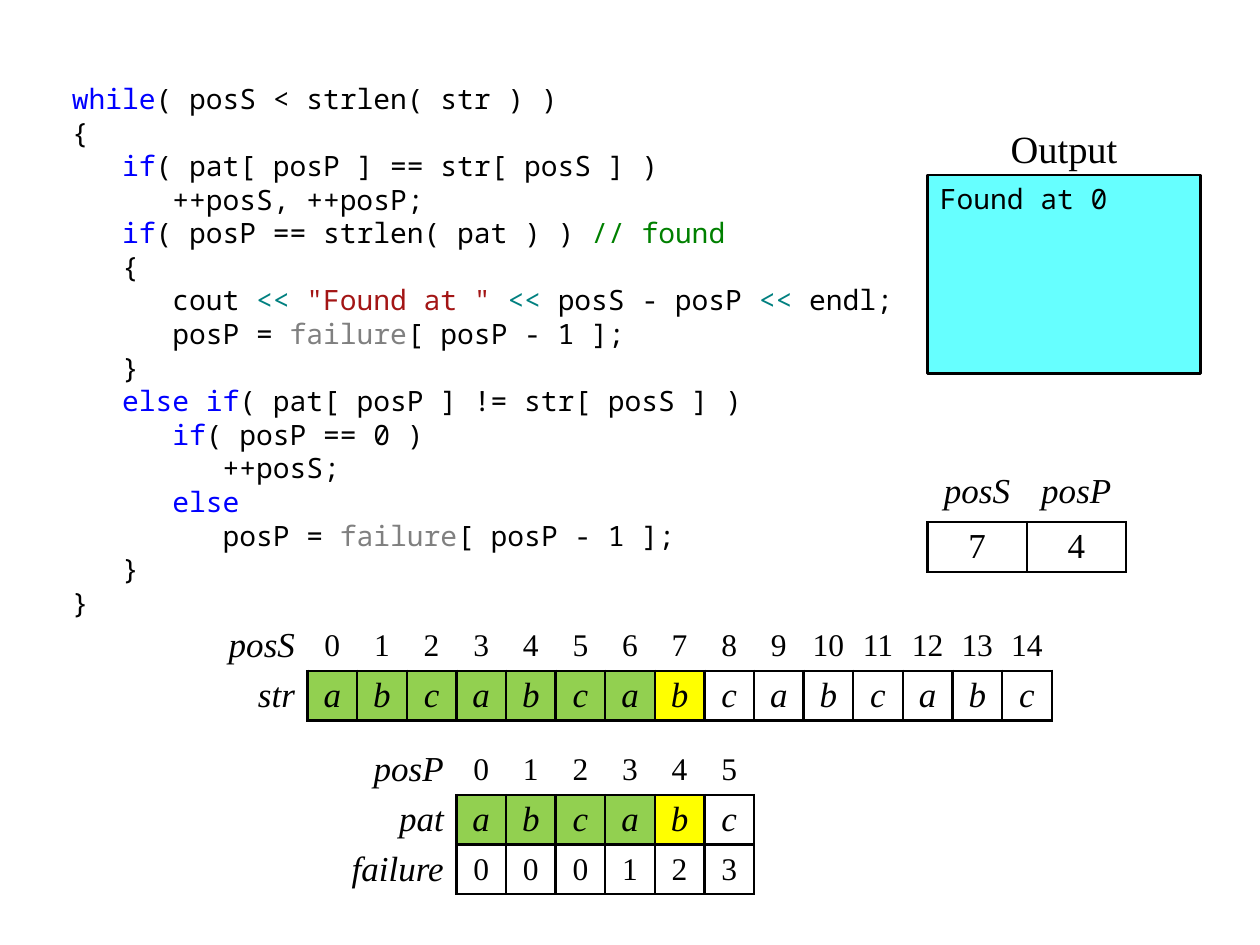
from lxml.etree import SubElement
from pptx import Presentation
from pptx.dml.color import RGBColor
from pptx.enum.shapes import MSO_SHAPE
from pptx.enum.text import MSO_ANCHOR, PP_ALIGN
from pptx.oxml.ns import qn
from pptx.util import Pt

BLACK = RGBColor(0x00, 0x00, 0x00)
WHITE = RGBColor(0xFF, 0xFF, 0xFF)
KEYWORD = RGBColor(0x00, 0x00, 0xFF)
COMMENT = RGBColor(0x00, 0x80, 0x00)
OPERATOR = RGBColor(0x00, 0x80, 0x80)
STRING = RGBColor(0xA3, 0x15, 0x15)
ARRAY = RGBColor(0x80, 0x80, 0x80)
MATCHED = RGBColor(0x92, 0xD0, 0x50)
CURRENT = RGBColor(0xFF, 0xFF, 0x00)
SCREEN = RGBColor(0x66, 0xFF, 0xFF)

MONO, SERIF = "Noto Sans Mono", "Times New Roman"
NO_STYLE = "{2D5ABB26-0587-4C30-8999-92F81FD0307C}"
CELL = 28.35
LINE = 1.5

# Plain strings are black; pairs carry their own colour.
FAILURE_STEP = [("failure", ARRAY), "[ posP - 1 ];"]
CODE = [
    [("while", KEYWORD), "( posS < strlen( str ) )"],
    ["{"],
    ["   ", ("if", KEYWORD), "( pat[ posP ] == str[ posS ] )"],
    ["      ++posS, ++posP;"],
    ["   ", ("if", KEYWORD), "( posP == strlen( pat ) ) ", ("// found", COMMENT)],
    ["   {"],
    ["      cout ", ("<< ", OPERATOR), ('"Found at " ', STRING), ("<< ", OPERATOR),
     "posS - posP ", ("<< ", OPERATOR), "endl;"],
    ["      posP = "] + FAILURE_STEP,
    ["   }"],
    ["   ", ("else if", KEYWORD), "( pat[ posP ] != str[ posS ] )"],
    ["      ", ("if", KEYWORD), "( posP == 0 )"],
    ["         ++posS;"],
    ["      ", ("else", KEYWORD)],
    ["         posP = "] + FAILURE_STEP,
    ["   }"],
    ["}"],
]

TEXT, PATTERN = "abcabcabcabcabc", "abcabc"
FAILURE = [0, 0, 0, 1, 2, 3]
POS_S, POS_P = 7, 4

STR_LEFT, STR_TOP, STR_LABEL = 119.05, 355, 2 * CELL
PAT_LABEL = 2.5 * CELL
# The pattern sits under the part of the text it is matched against.
PAT_LEFT = STR_LEFT + STR_LABEL + (POS_S - POS_P) * CELL - PAT_LABEL
PAT_TOP = STR_TOP + 2.5 * CELL


def add_text(tf, lines, font, size, spacing=None, align=PP_ALIGN.LEFT):
    tf.word_wrap = True
    tf.vertical_anchor = MSO_ANCHOR.TOP
    for i, line in enumerate(lines):
        p = tf.add_paragraph() if i else tf.paragraphs[0]
        p.alignment = align
        if spacing:
            p.line_spacing = Pt(spacing)
        for part in line:
            text, color = (part, BLACK) if isinstance(part, str) else part
            r = p.add_run()
            r.text = text
            r.font.name, r.font.size = font, Pt(size)
            r.font.color.rgb = color


def set_margins(target, left, top, right, bottom):
    target.margin_left, target.margin_top = Pt(left), Pt(top)
    target.margin_right, target.margin_bottom = Pt(right), Pt(bottom)


def add_borders(cell):
    tcPr = cell._tc.get_or_add_tcPr()
    for side in ("a:lnL", "a:lnR", "a:lnT", "a:lnB"):
        ln = SubElement(tcPr, qn(side), w=str(Pt(LINE)))
        fill = SubElement(ln, qn("a:solidFill"))
        SubElement(fill, qn("a:srgbClr"), val=str(BLACK))


def add_grid(left, top, widths, rows, labelled, digit_size, position=None):
    """Add a table whose first row is a header and whose other rows are boxed."""
    frame = s.shapes.add_table(len(rows), len(widths), Pt(left), Pt(top),
                               Pt(sum(widths)), Pt(CELL * len(rows)))
    table = frame.table
    table.first_row = table.horz_banding = False
    table._tbl.tblPr.find(qn("a:tableStyleId")).text = NO_STYLE
    for column, width in zip(table.columns, widths):
        column.width = Pt(width)
    for i, row in enumerate(rows):
        table.rows[i].height = Pt(CELL)
        for j, value in enumerate(row):
            text, cell = str(value), table.cell(i, j)
            is_label = labelled and j == 0
            boxed = i > 0 and not is_label
            pad = 7.2 if is_label else 3
            set_margins(cell, pad, 0, pad, 0)
            cell.vertical_anchor = MSO_ANCHOR.MIDDLE if labelled or i else MSO_ANCHOR.TOP
            if boxed:
                add_borders(cell)
            if boxed and position is not None and i == 1:
                index = j - 1
                cell.fill.solid()
                cell.fill.fore_color.rgb = (MATCHED if index < position else
                                            CURRENT if index == position else WHITE)
            else:
                cell.fill.background()
            p = cell.text_frame.paragraphs[0]
            p.text = text
            p.alignment = PP_ALIGN.RIGHT if is_label else PP_ALIGN.CENTER
            font = p.runs[0].font
            font.name, font.color.rgb = SERIF, BLACK
            font.italic = not text.isdigit()
            font.size = Pt(digit_size if text.isdigit() else 20)


prs = Presentation()
prs.slide_width, prs.slide_height = Pt(720), Pt(540)
s = prs.slides.add_slide(prs.slide_layouts[6])

code = s.shapes.add_textbox(Pt(34), Pt(43), Pt(482), Pt(312))
set_margins(code.text_frame, 7.2, 3.6, 2.9, 3.6)
add_text(code.text_frame, CODE, MONO, 16, 19.2)

add_grid(STR_LEFT, STR_TOP, [STR_LABEL] + [CELL] * len(TEXT),
         [["posS", *range(len(TEXT))], ["str", *TEXT]], True, 18, POS_S)
add_grid(530, 270, [2 * CELL] * 2,
         [["posS", "posP"], [POS_S, POS_P]], False, 20)
add_grid(PAT_LEFT, PAT_TOP, [PAT_LABEL] + [CELL] * len(PATTERN),
         [["posP", *range(len(PATTERN))], ["pat", *PATTERN], ["failure", *FAILURE]],
         True, 18, POS_P)

screen = s.shapes.add_shape(MSO_SHAPE.RECTANGLE, Pt(530), Pt(100), Pt(156), Pt(113.4))
screen.shadow.inherit = False
screen.fill.solid()
screen.fill.fore_color.rgb = SCREEN
screen.line.color.rgb = BLACK
screen.line.width = Pt(LINE)
add_text(screen.text_frame, [["Found at 0"]], MONO, 16, 19.2)

title = s.shapes.add_textbox(Pt(558.5), Pt(71.5), Pt(99), Pt(CELL))
set_margins(title.text_frame, 7.2, 0, 7.2, 3.6)
add_text(title.text_frame, [["Output"]], SERIF, 22, align=PP_ALIGN.CENTER)

prs.save("out.pptx")
